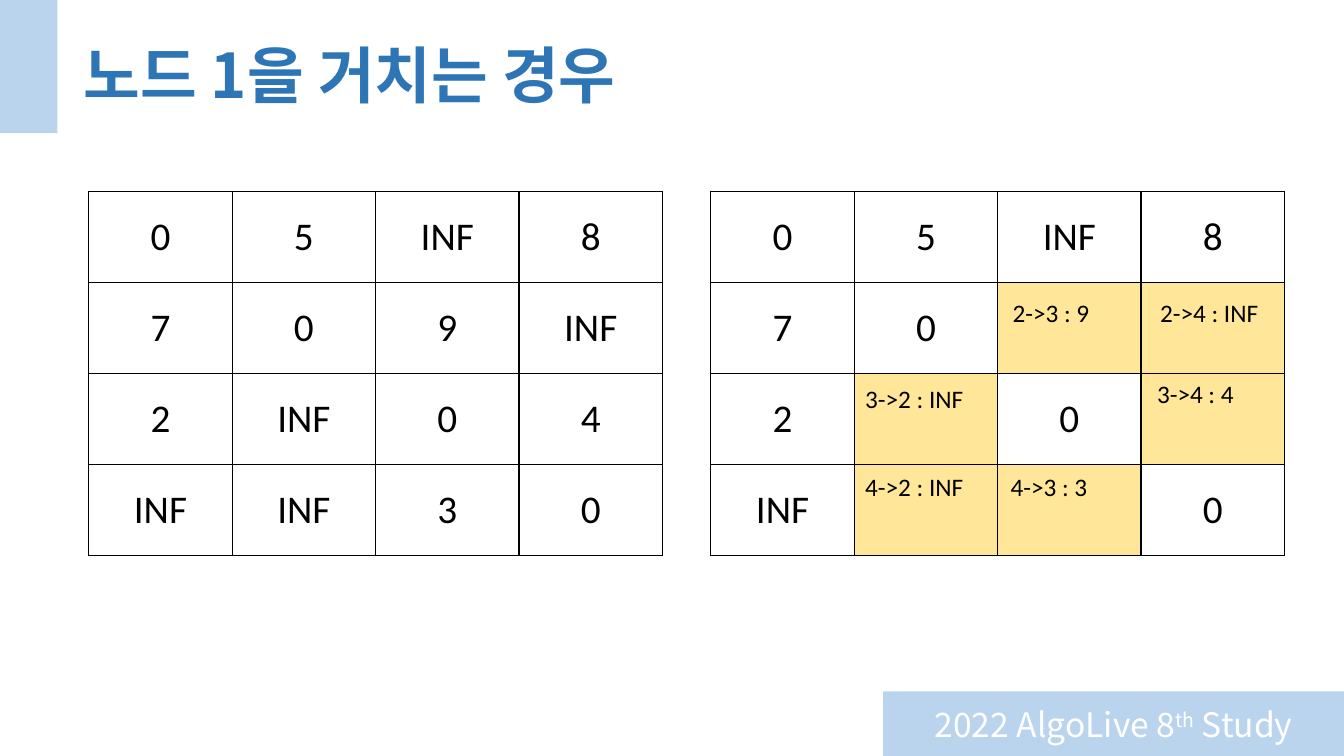
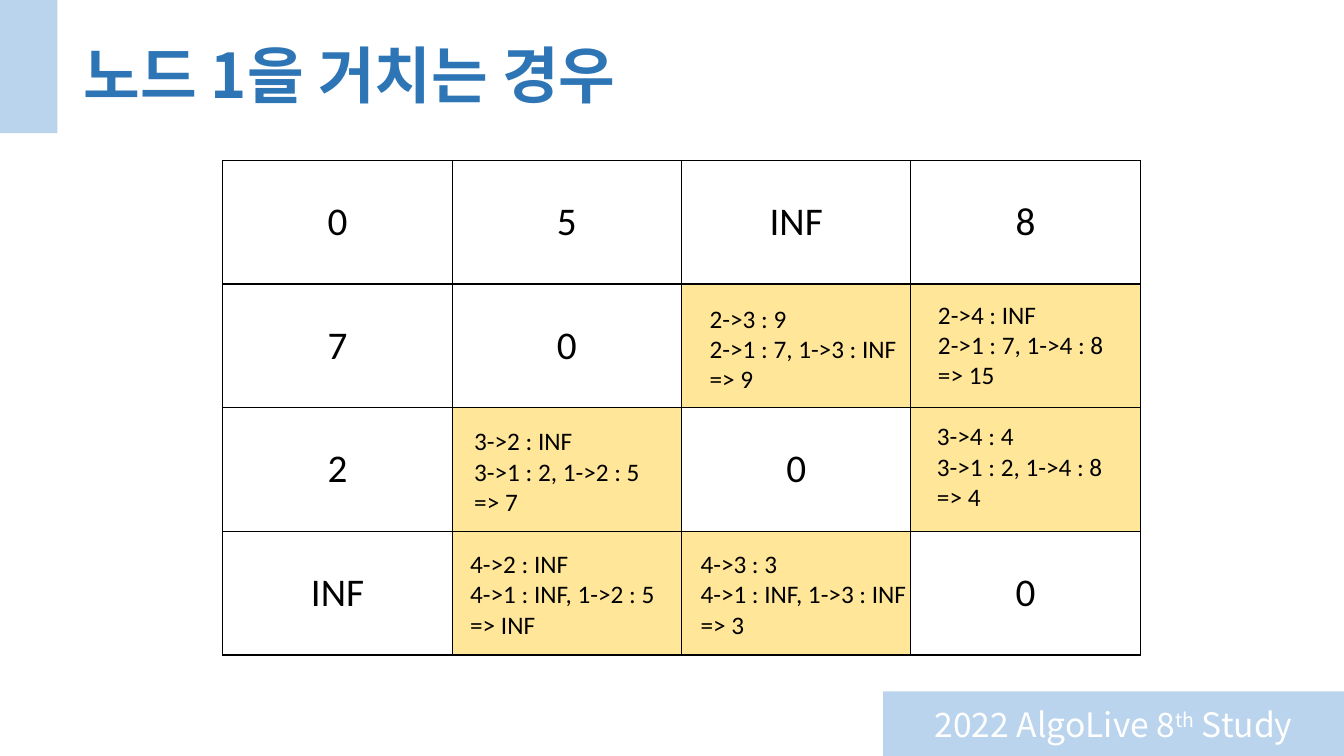
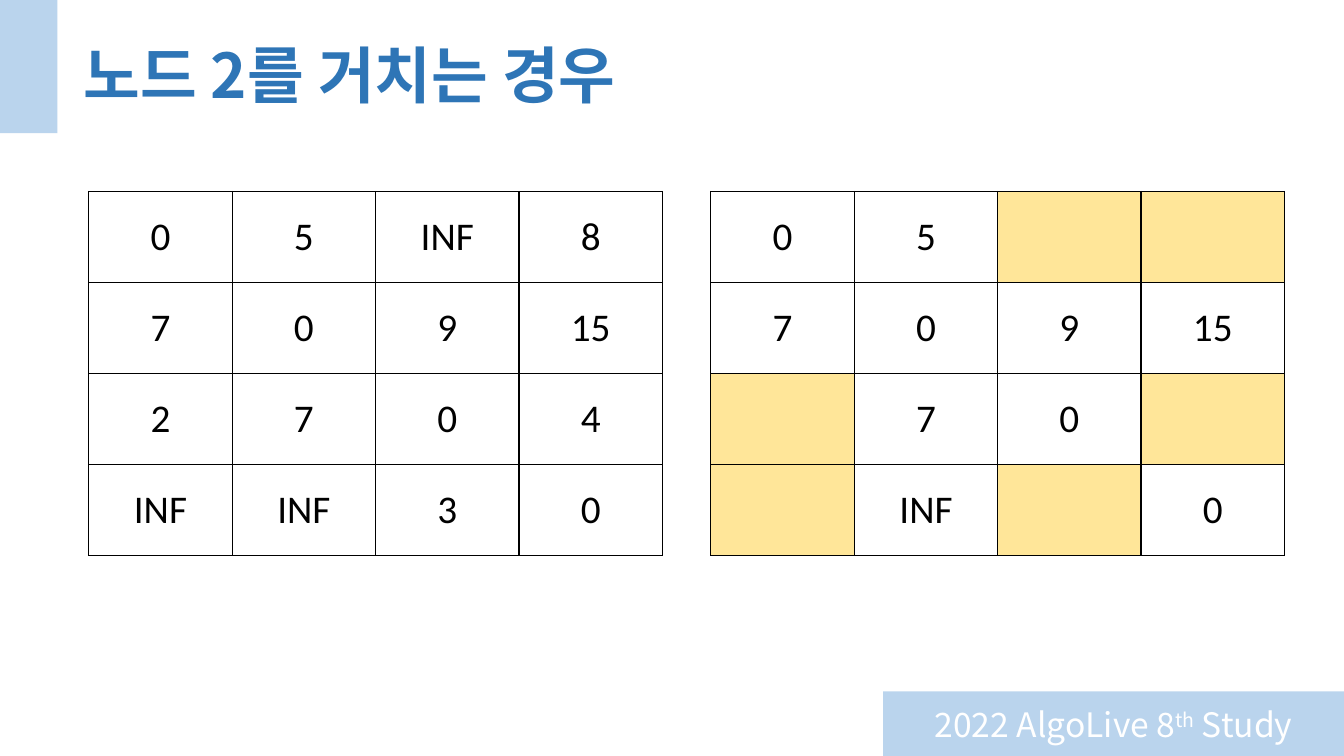
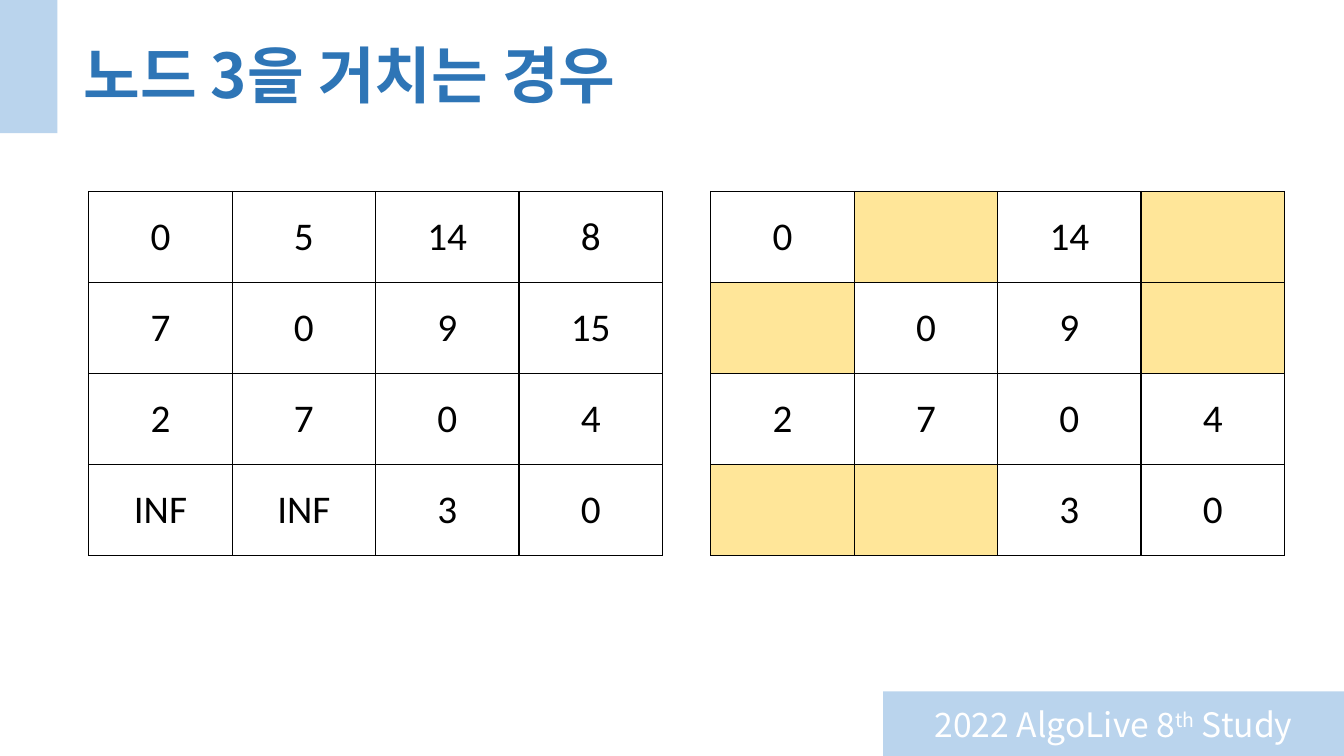
from lxml import etree
from pptx import Presentation
from pptx import util as u
from pptx.dml.color import RGBColor
from pptx.enum import shapes, text
from pptx.oxml.ns import qn

HEX = {"band": "9DC3E6", "title": "2E75B6", "mark": "FFE699",
       "ink": "000000", "paper": "FFFFFF"}
SANS, BODY = "Noto Sans CJK KR", "Calibri"
MID = text.MSO_ANCHOR.MIDDLE
CENTER = text.PP_ALIGN.CENTER

# Table boxes: left, top, width, height
LEFT = (0.88, 1.9, 5.69, 3.61)
RIGHT = (7.05, 1.9, 5.69, 3.61)
WIDE = (2.21, 1.59, 9.1, 4.91)

# Distance matrix before passing through each node
DIST = {
    1: ["0 5 INF 8", "7 0 9 INF", "2 INF 0 4", "INF INF 3 0"],
    2: ["0 5 INF 8", "7 0 9 15", "2 7 0 4", "INF INF 3 0"],
    3: ["0 5 14 8", "7 0 9 15", "2 7 0 4", "INF INF 3 0"],
}

# Cell notes: row, column, offset in the cell, width, lines
SHORT = [
    (1, 2, 0.05, 0.1, 0.97, ["2->3 : 9"]),
    (1, 3, 0.09, 0.1, 1.19, ["2->4 : INF"]),
    (2, 1, 0.01, 0.05, 1.19, ["3->2 : INF"]),
    (3, 1, 0.01, 0.02, 1.19, ["4->2 : INF"]),
    (2, 3, 0.06, 0, 0.97, ["3->4 : 4"]),
    (3, 2, 0.03, 0.02, 0.97, ["4->3 : 3"]),
]
LONG = [
    (1, 2, 0.18, 0.14, 2.08, ["2->3 : 9", "2->1 : 7, 1->3 : INF", "=> 9"]),
    (1, 3, 0.17, 0.1, 1.87, ["2->4 : INF", "2->1 : 7, 1->4 : 8", "=> 15"]),
    (2, 1, 0.12, 0.13, 1.87, ["3->2 : INF", "3->1 : 2, 1->2 : 5", "=> 7"]),
    (3, 1, 0.08, 0.12, 2.05, ["4->2 : INF", "4->1 : INF, 1->2 : 5", "=> INF"]),
    (2, 3, 0.16, 0.08, 1.87, ["3->4 : 4", "3->1 : 2, 1->4 : 8", "=> 4"]),
    (3, 2, 0.09, 0.12, 2.27, ["4->3 : 3", "4->1 : INF, 1->3 : INF", "=> 3"]),
]


def inches(*vals):
    return [u.Inches(v) for v in vals]


def color(name):
    return RGBColor.from_string(HEX[name])


def style(para, size, face, ink, bold=False):
    font = para.font
    font.size, font.name, font.bold = u.Pt(size), face, bold
    font.color.rgb = color(ink)
    props = para._p.get_or_add_pPr().get_or_add_defRPr()
    etree.SubElement(props, qn("a:ea"), typeface=face)


def band(slide, box):
    """Pale see-through rectangle."""
    rect = slide.shapes.add_shape(shapes.MSO_SHAPE.RECTANGLE, *inches(*box))
    rect.shadow.inherit = False
    rect.line.fill.background()
    rect.fill.solid()
    rect.fill.fore_color.rgb = color("band")
    tint = rect._element.spPr.find(".//" + qn("a:srgbClr"))
    etree.SubElement(tint, qn("a:alpha"), val="70000")
    return rect


def footer(slide, box):
    frame = band(slide, box).text_frame
    frame.vertical_anchor = MID
    para = frame.paragraphs[0]
    para.alignment = CENTER
    style(para, 24, SANS, "paper")
    for part in ("2022 AlgoLive 8", "th", " Study"):
        run = para.add_run()
        run.text = part
        if part == "th":
            run._r.get_or_add_rPr().set("baseline", "30000")


def heading(slide, box, words):
    frame = slide.shapes.add_textbox(*inches(*box)).text_frame
    frame.word_wrap = True
    frame.vertical_anchor = MID
    para = frame.paragraphs[0]
    para.text = words
    para.line_spacing = 0.9
    style(para, 44, SANS, "title", True)


def border(cell):
    props = cell._tc.get_or_add_tcPr()
    for side in ("lnL", "lnR", "lnT", "lnB"):
        line = etree.SubElement(props, qn("a:" + side), w=str(u.Pt(1)))
        fill = etree.SubElement(line, qn("a:solidFill"))
        etree.SubElement(fill, qn("a:srgbClr"), val=HEX["ink"])


def matrix(slide, box, rows, node=None):
    """Distance table; with a node, the cells it may change are marked."""
    size = len(rows)
    table = slide.shapes.add_table(size, size, *inches(*box)).table
    table.first_row = table.horz_banding = False
    for r, row in enumerate(rows):
        for c, value in enumerate(row.split()):
            cell = table.cell(r, c)
            cell.vertical_anchor = MID
            border(cell)
            if node and len({r, c, node - 1}) == 3:
                cell.fill.solid()
                cell.fill.fore_color.rgb = color("mark")
                continue
            cell.fill.background()
            cell.text = value
            para = cell.text_frame.paragraphs[0]
            para.alignment = CENTER
            style(para, 28, BODY, "ink")


def notes(slide, box, items, size=4):
    """Path sums laid over the cells of the table in the box."""
    left, top, width, height = box
    for row, col, dx, dy, wide, lines in items:
        x = left + col * width / size + dx
        y = top + row * height / size + dy
        tall = 0.1 + 0.3 * len(lines)
        frame = slide.shapes.add_textbox(*inches(x, y, wide, tall)).text_frame
        frame.word_wrap = False
        frame.auto_size = text.MSO_AUTO_SIZE.SHAPE_TO_FIT_TEXT
        frame.text = "\n".join(lines)
        for para in frame.paragraphs:
            style(para, 18, BODY, "ink")


def base(deck, words):
    """Blank slide with bands, footer and title."""
    slide = deck.slides.add_slide(deck.slide_layouts[6])
    band(slide, (0, 0, 0.57, 1.32))
    footer(slide, (8.76, 6.86, 4.57, 0.64))
    heading(slide, (0.73, 0.05, 11.5, 1.45), words)
    return slide


def pair(deck, words, node, items=()):
    """Current matrix beside the one to be updated."""
    slide = base(deck, words)
    matrix(slide, LEFT, DIST[node])
    matrix(slide, RIGHT, DIST[node], node)
    notes(slide, RIGHT, items)


def detail(deck, words, node, items):
    """One large matrix with worked sums."""
    slide = base(deck, words)
    matrix(slide, WIDE, DIST[node], node)
    notes(slide, WIDE, items)


def main():
    deck = Presentation()
    deck.slide_width, deck.slide_height = inches(13.33, 7.5)
    pair(deck, "노드 1을 거치는 경우", 1, SHORT)
    detail(deck, "노드 1을 거치는 경우", 1, LONG)
    pair(deck, "노드 2를 거치는 경우", 2)
    pair(deck, "노드 3을 거치는 경우", 3)
    deck.save("out.pptx")


if __name__ == "__main__":
    main()
